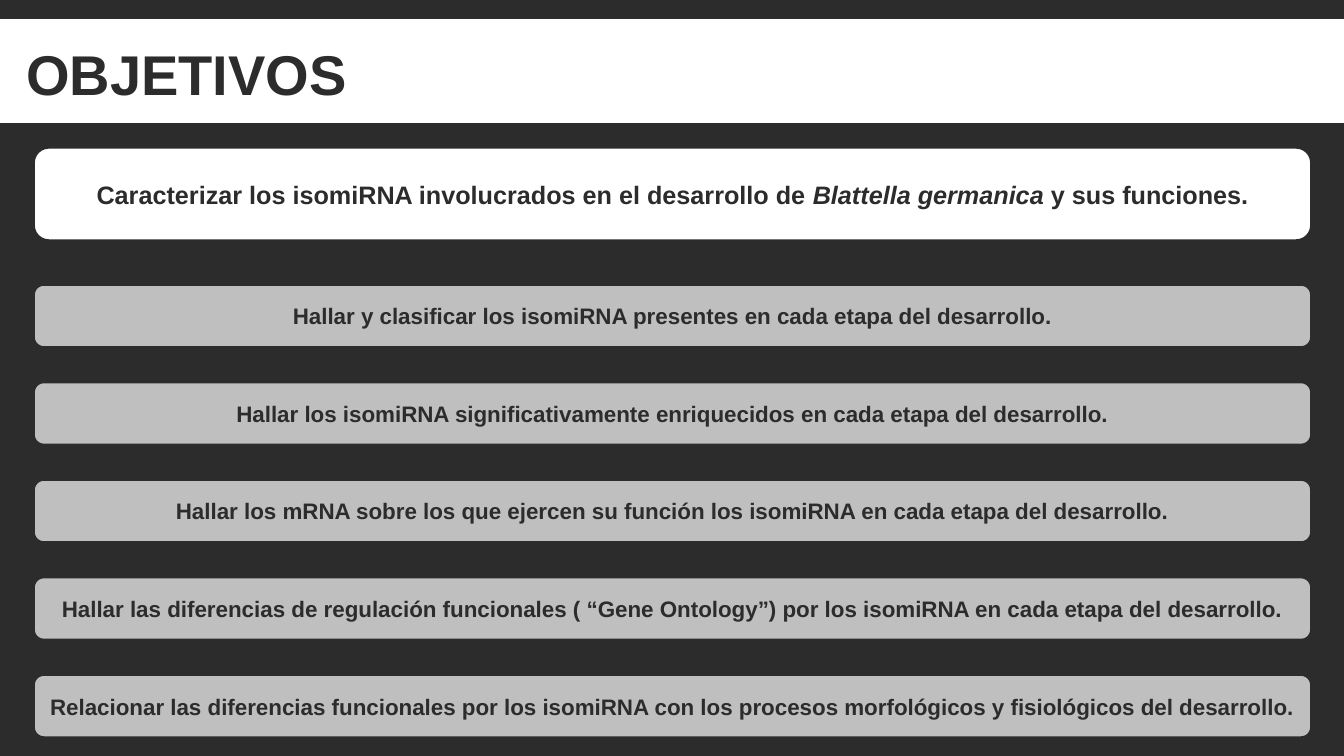
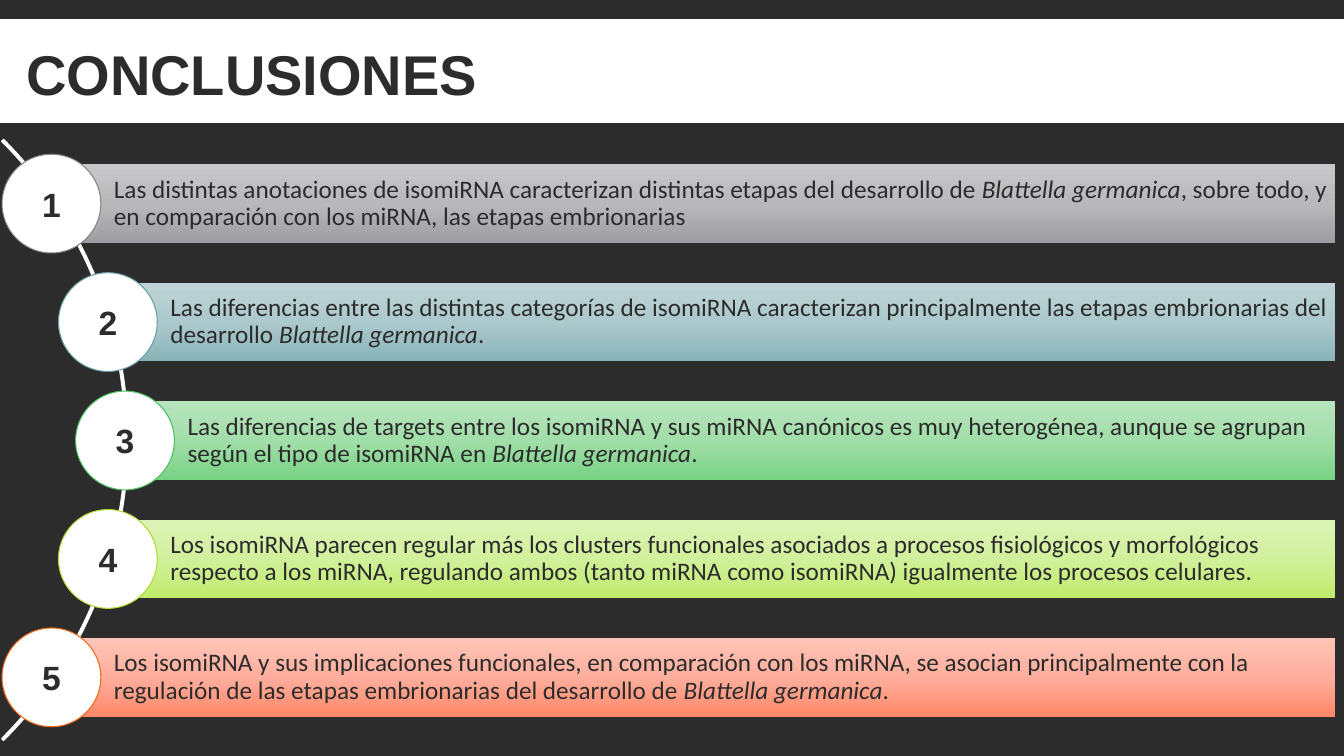
from copy import deepcopy

from pptx import Presentation
from pptx.dml.color import RGBColor
from pptx.enum.shapes import MSO_SHAPE as Preset
from pptx.enum.text import MSO_ANCHOR as Anchor, MSO_AUTO_SIZE as AutoSize, PP_ALIGN as Align
from pptx.oxml.ns import qn
from pptx.util import Inches, Pt

COLOURS = {"dark": "2C2C2C", "white": "FFFFFF", "grey": "BFBFBF"}
SLIDE_WIDTH, SLIDE_HEIGHT = 13.33, 7.5
TITLE_ONLY = 5

MAIN_OBJECTIVE = "Caracterizar los isomiRNA involucrados en el desarrollo de *Blattella germanica* y sus funciones."
OBJECTIVES = [
    "Hallar y clasificar los isomiRNA presentes en cada etapa del desarrollo.",
    "Hallar los isomiRNA significativamente enriquecidos en cada etapa del desarrollo.",
    "Hallar los mRNA sobre los que ejercen su función los isomiRNA en cada etapa del desarrollo.",
    "Hallar las diferencias de regulación funcionales ( “Gene Ontology”) por los isomiRNA en cada etapa del desarrollo.",
    "Relacionar las diferencias funcionales por los isomiRNA con los procesos morfológicos y fisiológicos del desarrollo.",
]
CONCLUSIONS = [
    ("Las distintas anotaciones de isomiRNA caracterizan distintas etapas del desarrollo de *Blattella germanica*, "
     "sobre todo, y en comparación con los miRNA, las etapas embrionarias",
     0.51, ("C8C8CA", "B9B9BC", "9D9DA2"), "828288"),
    ("Las diferencias entre las distintas categorías de isomiRNA caracterizan principalmente las etapas "
     "embrionarias del desarrollo *Blattella germanica*.",
     1.07, ("BFD4D6", "ACC9CC", "89B4B9"), "679EA3"),
    ("Las diferencias de targets entre los isomiRNA y sus miRNA canónicos es muy heterogénea, aunque se agrupan "
     "según el tipo de isomiRNA en *Blattella germanica*.",
     1.24, ("B8E4BE", "A2DEA9", "78D284"), "4CBF61"),
    ("Los isomiRNA parecen regular más los clusters funcionales asociados a procesos fisiológicos y morfológicos "
     "respecto a los miRNA, regulando ambos (tanto miRNA como isomiRNA) igualmente los procesos celulares.",
     1.07, ("DCF3B6", "D1F09C", "C0EB6B"), "ADDA32"),
    ("Los isomiRNA y sus implicaciones funcionales, en comparación con los miRNA, se asocian principalmente con la "
     "regulación de las etapas embrionarias del desarrollo de *Blattella germanica*.",
     0.51, ("FFC4B8", "FFAE9D", "FF8768"), "F56617"),
]


def rgb(colour):
    return RGBColor.from_string(COLOURS.get(colour, colour))


def write(shape, text, size, font="Arial", bold=True, align=Align.CENTER, anchor=Anchor.MIDDLE,
          wrap=True, spacing=None, margins=None):
    frame = shape.text_frame
    frame.word_wrap = wrap
    frame.vertical_anchor = anchor
    if margins:
        frame.margin_left, frame.margin_top, frame.margin_right, frame.margin_bottom = map(Inches, margins)
    paragraph = frame.paragraphs[0]
    paragraph.alignment = align
    paragraph.line_spacing = spacing
    for index, part in enumerate(text.split("*")):
        run = paragraph.add_run()
        run.text = part
        run.font.name = font
        run.font.size = Pt(size)
        run.font.bold = bold
        run.font.italic = index % 2 == 1
        run.font.color.rgb = rgb("dark")


def add_box(slide, preset, box, fill=None, line=None, line_width=1):
    shape = slide.shapes.add_shape(preset, *map(Inches, box))
    shape.shadow.inherit = False
    if fill:
        shape.fill.solid()
        shape.fill.fore_color.rgb = rgb(fill)
    if line:
        shape.line.color.rgb = rgb(line)
        shape.line.width = Pt(line_width)
    else:
        shape.line.fill.background()
    return shape


def fill_downwards(shape, colours):
    shape.fill.gradient()
    shape.fill.gradient_angle = 270
    stop_list = next(shape.element.iter(qn("a:gsLst")))
    stop_list.insert(1, deepcopy(stop_list[0]))
    for stop, position, colour in zip(shape.fill.gradient_stops, (0, 0.5, 1), colours):
        stop.position = position
        stop.color.rgb = rgb(colour)


def add_titled_slide(presentation, text, title_width):
    slide = presentation.slides.add_slide(presentation.slide_layouts[TITLE_ONLY])
    add_box(slide, Preset.RECTANGLE, (0, 0.19, SLIDE_WIDTH, 1.8), "white")
    add_box(slide, Preset.RECTANGLE, (0, 1.23, SLIDE_WIDTH, 1.03), "dark", "dark")
    title = slide.shapes.title
    title.left, title.top, title.width, title.height = map(Inches, (0.16, 0.34, title_width, 0.77))
    write(title, text, 40, align=Align.LEFT, anchor=Anchor.TOP, wrap=False)
    title.text_frame.auto_size = AutoSize.SHAPE_TO_FIT_TEXT
    title.element.getparent().append(title.element)
    return slide


def add_objective(slide, box, text, fill, size):
    write(add_box(slide, Preset.ROUNDED_RECTANGLE, box, fill, "dark", 2.25), text, size)


def add_objectives(slide, left, top, width, height):
    add_objective(slide, (left, top, width, 0.93), MAIN_OBJECTIVE, "white", 18)
    row_height, first_row = 0.63, top + 1.36
    pitch = (top + height - row_height - first_row) / (len(OBJECTIVES) - 1)
    for index, text in enumerate(OBJECTIVES):
        add_objective(slide, (left, first_row + index * pitch, width, row_height), text, "grey", 16)


def add_conclusions(slide, left, top, width, height):
    arc_size = 8.43
    arc = add_box(slide, Preset.BLOCK_ARC, (left - 7.18, top - 1.38, arc_size, arc_size), "white", "white")
    for index, value in enumerate((189, 27, 0.003)):
        arc.adjustments[index] = value
    diameter, bar_height = 0.98, 0.78
    pitch = (height - diameter) / (len(CONCLUSIONS) - 1)
    for index, (text, centre_x, gradient, outline) in enumerate(CONCLUSIONS):
        circle_top = top + index * pitch
        bar_top = circle_top + (diameter - bar_height) / 2
        bar = add_box(slide, Preset.RECTANGLE, (centre_x, bar_top, left + width - centre_x, bar_height))
        fill_downwards(bar, gradient)
        write(bar, text, 18, font="Calibri", bold=False, align=Align.LEFT, spacing=0.9,
              margins=(0.62, 0.05, 0.05, 0.05))
        circle = add_box(slide, Preset.OVAL, (centre_x - diameter / 2, circle_top, diameter, diameter),
                         "white", outline, 0.75)
        write(circle, str(index + 1), 24)


def main():
    presentation = Presentation()
    presentation.slide_width = Inches(SLIDE_WIDTH)
    presentation.slide_height = Inches(SLIDE_HEIGHT)
    background = presentation.slide_master.background.fill
    background.solid()
    background.fore_color.rgb = rgb("dark")
    add_objectives(add_titled_slide(presentation, "OBJETIVOS", 3.41), 0.33, 1.46, 12.68, 5.86)
    add_conclusions(add_titled_slide(presentation, "CONCLUSIONES", 4.72), 0.02, 1.53, 13.22, 5.68)
    presentation.save("out.pptx")


if __name__ == "__main__":
    main()
